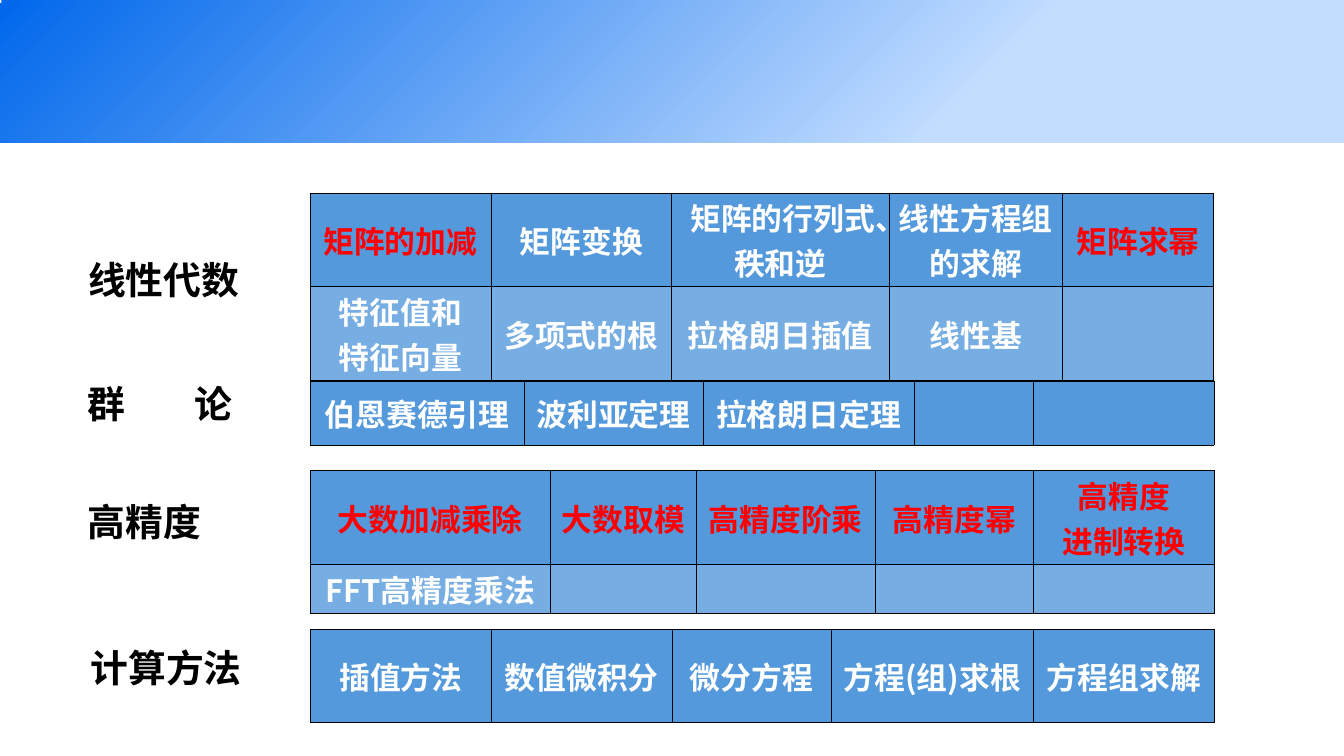
from dataclasses import dataclass
from lxml import etree
from pptx import Presentation
from pptx.dml.color import RGBColor
from pptx.enum.shapes import MSO_SHAPE
from pptx.enum.text import MSO_ANCHOR, PP_ALIGN
from pptx.oxml.ns import qn
from pptx.util import Inches, Pt

ROUND_RECT = MSO_SHAPE.ROUNDED_RECTANGLE
TOP, MIDDLE = MSO_ANCHOR.TOP, MSO_ANCHOR.MIDDLE
LEFT, CENTER = PP_ALIGN.LEFT, PP_ALIGN.CENTER


@dataclass(frozen=True)
class Theme:
    font: str = "Noto Sans CJK SC"
    label_size: int = 54
    cell_size: int = 44
    black: str = "000000"
    white: str = "FFFFFF"
    red: str = "FF0000"
    first_row: str = "5499DB"
    second_row: str = "76ADE2"
    band_start: str = "0168EB"
    band_end: str = "C2DDFF"


THEME = Theme()
TWO_LINES = 1.86  # height of a row that holds two lines of text

# Topic label: text, left, top, alignment, space before in points
LABELS = [
    ("线性代数", 1.48, 5.04, CENTER, 20),
    ("群\t论", 1.64, 7.51, LEFT, 10),
    ("高精度", 1.64, 9.85, LEFT, 10),
    ("计算方法", 1.7, 12.75, LEFT, 10),
]

# Topic table: left, top, column widths, row heights, cell texts
TABLES = [
    (6.15, 3.83, [3.59, 3.59, 4.31, 3.45, 2.99], [TWO_LINES, TWO_LINES], [
        ["矩阵的加减", "矩阵变换", "矩阵的行列式、秩和逆", "线性方程组的求解", "矩阵求幂"],
        ["特征值和\n特征向量", "多项式的根", "拉格朗日插值", "线性基", ""]]),
    (6.16, 7.56, [4.24, 3.55, 4.19, 2.36, 3.59], [1.27], [
        ["伯恩赛德引理", "波利亚定理", "拉格朗日定理", "", ""]]),
    (6.16, 9.34, [4.76, 2.9, 3.55, 3.14, 3.59], [TWO_LINES, 0.96], [
        ["大数加减乘除", "大数取模", "高精度阶乘", "高精度幂", "高精度\n进制转换"],
        ["FFT高精度乘法", "", "", "", ""]]),
    (6.16, 12.48, [3.59, 3.59, 3.15, 4.02, 3.59], [TWO_LINES], [
        ["插值方法", "数值微积分", "微分方程", "方程(组)求根", "方程组求解"]]),
]
RED_TOPICS = {"矩阵的加减", "矩阵求幂", "大数加减乘除", "大数取模",
              "高精度阶乘", "高精度幂", "高精度\n进制转换"}
INDENTED_TOPIC = "矩阵的行列式、秩和逆"


def rgb(color):
    return RGBColor.from_string(color)


def format_paragraph(p, size, color, align):
    p.alignment = align
    for r in p.runs:
        r.font.size, r.font.bold, r.font.name = Pt(size), True, THEME.font
        r.font.color.rgb = rgb(color)
        ea = etree.SubElement(r.font._element, qn("a:ea"))
        ea.set("typeface", THEME.font)


def add_band(s, left, top):
    sp = s.shapes.add_shape(ROUND_RECT, Inches(left), Inches(top),
                            Inches(26.67), Inches(2.76))
    sp.adjustments[0] = 0
    sp.shadow.inherit = False
    sp.line.fill.background()
    sp.fill.gradient()
    sp.fill.gradient_angle = 315
    stops = ((0, THEME.band_start), (0.72, THEME.band_end))
    for stop, (position, color) in zip(sp.fill.gradient_stops, stops):
        stop.position = position
        stop.color.rgb = rgb(color)


def add_label(s, text, left, top, align, space_before):
    sp = s.shapes.add_textbox(Inches(left), Inches(top), Inches(3.54), Inches(0.83))
    tf = sp.text_frame
    tf.word_wrap = True
    tf.vertical_anchor = TOP
    p = tf.paragraphs[0]
    p.text = text
    p.space_before = Pt(space_before)
    format_paragraph(p, THEME.label_size, THEME.black, align)
    if "\t" in text:
        tabs = etree.SubElement(p._p.get_or_add_pPr(), qn("a:tabLst"))
        etree.SubElement(tabs, qn("a:tab"), pos=str(Inches(2.12)), algn="l")


def add_borders(cell):
    # Borders come before the fill in the cell properties
    tc_pr = cell._tc.get_or_add_tcPr()
    for i, side in enumerate(("lnL", "lnR", "lnT", "lnB")):
        ln = etree.Element(qn(f"a:{side}"), w=str(Pt(1)))
        fill = etree.SubElement(ln, qn("a:solidFill"))
        etree.SubElement(fill, qn("a:srgbClr"), val=THEME.black)
        tc_pr.insert(i, ln)


def fill_cell(cell, text, fill):
    cell.fill.solid()
    cell.fill.fore_color.rgb = rgb(fill)
    add_borders(cell)
    cell.vertical_anchor = MIDDLE
    cell.margin_left = cell.margin_right = Inches(0.04)
    cell.margin_top = cell.margin_bottom = Inches(0.04)
    if not text:
        return
    cell.text_frame.text = text
    color = THEME.red if text in RED_TOPICS else THEME.white
    for p in cell.text_frame.paragraphs:
        format_paragraph(p, THEME.cell_size, color, CENTER)
        if text == INDENTED_TOPIC:
            p._p.get_or_add_pPr().set("indent", str(Inches(0.1)))


def add_topic_table(s, left, top, widths, heights, rows):
    table = s.shapes.add_table(len(heights), len(widths), Inches(left), Inches(top),
                               Inches(sum(widths)), Inches(sum(heights))).table
    table.horz_banding = table.first_row = False
    for column, width in zip(table.columns, widths):
        column.width = Inches(width)
    for i, (texts, height) in enumerate(zip(rows, heights)):
        table.rows[i].height = Inches(height)
        fill = THEME.second_row if i else THEME.first_row
        for j, text in enumerate(texts):
            fill_cell(table.cell(i, j), text, fill)


def main():
    prs = Presentation()
    prs.slide_width, prs.slide_height = Inches(26.67), Inches(15)
    s = prs.slides.add_slide(prs.slide_layouts[6])

    # Header band in two layers
    add_band(s, 0.03, 0)
    add_band(s, 0, 0.06)

    # Topics and their tables
    for label in LABELS:
        add_label(s, *label)
    for table in TABLES:
        add_topic_table(s, *table)

    prs.save("out.pptx")


if __name__ == "__main__":
    main()
